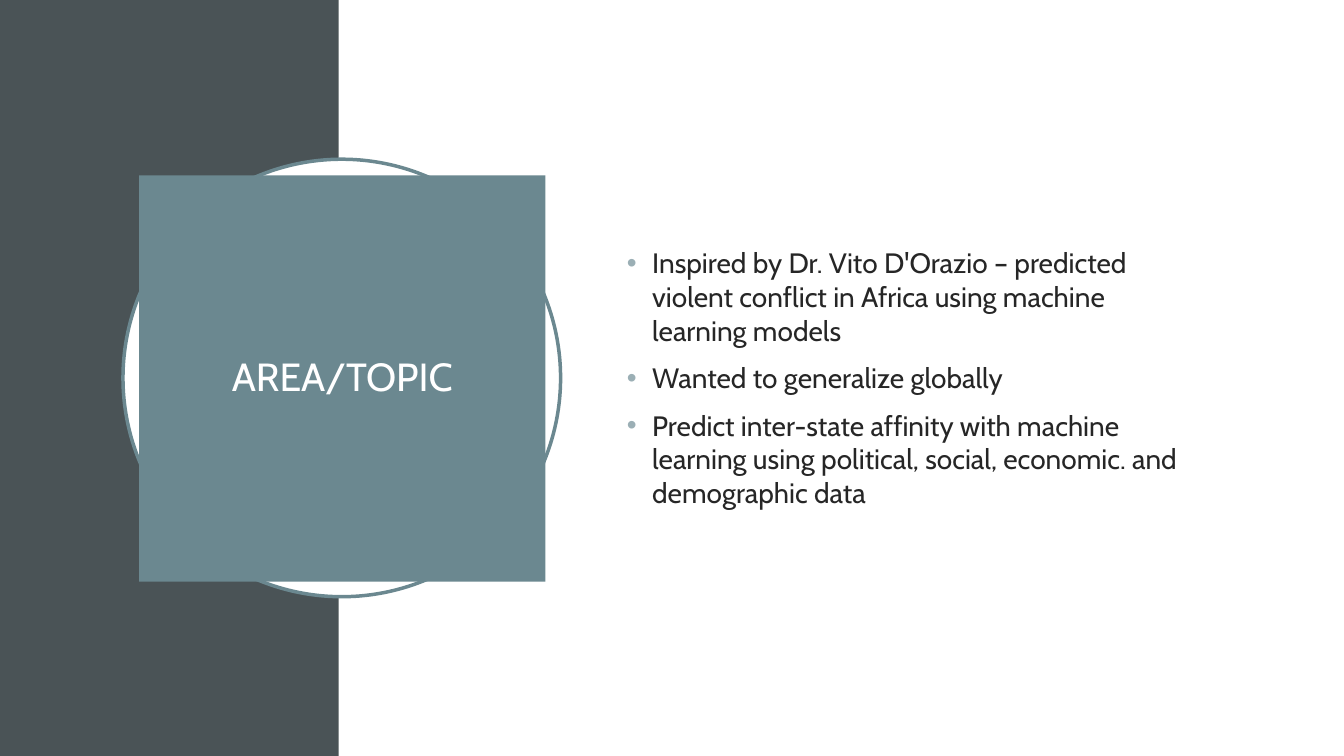
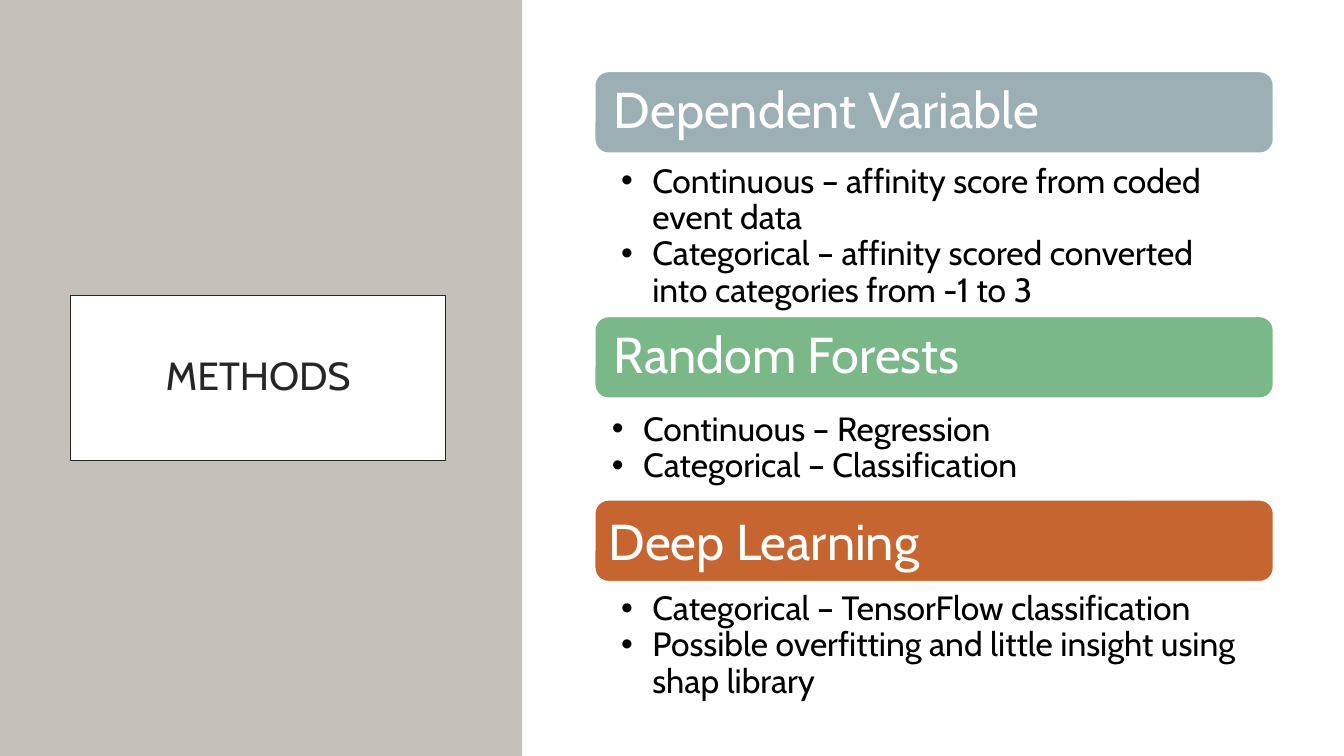
"""Build two slides: the research topic and the methods."""
from lxml import etree
from pptx import Presentation
from pptx.dml.color import RGBColor
from pptx.enum.shapes import MSO_SHAPE
from pptx.enum.text import MSO_ANCHOR, PP_ALIGN
from pptx.oxml.ns import qn
from pptx.util import Inches, Pt

RECTANGLE, ROUNDED, OVAL = MSO_SHAPE.RECTANGLE, MSO_SHAPE.ROUNDED_RECTANGLE, MSO_SHAPE.OVAL
TOP, MIDDLE = MSO_ANCHOR.TOP, MSO_ANCHOR.MIDDLE
LEFT, CENTER = PP_ALIGN.LEFT, PP_ALIGN.CENTER

FONT = "Cabin"
WHITE = RGBColor(0xFF, 0xFF, 0xFF)
BLACK = RGBColor(0x00, 0x00, 0x00)
INK = RGBColor(0x26, 0x26, 0x26)
SLATE = RGBColor(0x4A, 0x53, 0x56)
TEAL = RGBColor(0x6B, 0x88, 0x90)
MIST = RGBColor(0x9B, 0xAF, 0xB5)
STONE = RGBColor(0xC5, 0xC0, 0xB9)
GREEN = RGBColor(0x7A, 0xB8, 0x8A)
ORANGE = RGBColor(0xC7, 0x65, 0x31)

SLIDE_WIDTH, SLIDE_HEIGHT = 13.33, 7.5
BAR_LEFT, BAR_WIDTH, BAR_HEIGHT = 5.9, 6.73, 0.81
BODY_INSETS = (0.1, 0.05, 0.1, 0.05)
LIST_INSETS = (0.21, 0.05, 0.28, 0.05)

TOPIC_TITLE = "AREA/TOPIC"
TOPIC_POINTS = [
    "Inspired by Dr. Vito D'Orazio – predicted violent conflict in Africa using machine learning models",
    "Wanted to generalize globally",
    "Predict inter-state affinity with machine learning using political, social, economic. and demographic data",
]

METHODS_TITLE = "METHODS"
METHODS = [
    {
        "heading": "Dependent Variable", "color": MIST, "top": 0.71, "inset": 0.15, "spacing": 0.9,
        "points": ["Continuous – affinity score from coded event data",
                   "Categorical – affinity scored converted into categories from -1 to 3"],
        "list_at": (5.95, 1.58, 6.73, 1.52),
    },
    {
        "heading": "Random Forests", "color": GREEN, "top": 3.14, "inset": 0.15, "spacing": 0.9,
        "points": ["Continuous – Regression", "Categorical – Classification"],
        "list_at": (5.86, 4.04, 6.73, 0.81),
    },
    {
        "heading": "Deep Learning", "color": ORANGE, "top": 4.96, "inset": 0.1, "spacing": 1.0,
        "points": ["Categorical – TensorFlow classification",
                   "Possible overfitting and little insight using shap library"],
        "list_at": (5.95, 5.82, 6.64, 1.54),
    },
]


def add_panel(page, kind, at, fill, line=None, line_width=1):
    panel = page.shapes.add_shape(kind, *map(Inches, at))
    panel.shadow.inherit = False
    panel.fill.solid()
    panel.fill.fore_color.rgb = fill
    if line is None:
        panel.line.fill.background()
    else:
        panel.line.color.rgb = line
        panel.line.width = Pt(line_width)
    return panel


def set_bullet(para, color, indent):
    properties = para._p.get_or_add_pPr()
    properties.set("marL", str(Inches(indent)))
    properties.set("indent", str(-Inches(indent)))
    bullet_color = etree.SubElement(properties, qn("a:buClr"))
    etree.SubElement(bullet_color, qn("a:srgbClr"), val=str(color))
    etree.SubElement(properties, qn("a:buFont"), typeface="Arial")
    etree.SubElement(properties, qn("a:buChar"), char="•")


def write(box, lines, size, color, insets, anchor=MIDDLE, align=LEFT, spacing=1.0,
          gap=0, bullet=None, indent=0):
    frame = box.text_frame
    frame.word_wrap = True
    frame.vertical_anchor = anchor
    frame.margin_left, frame.margin_top, frame.margin_right, frame.margin_bottom = map(Inches, insets)
    for index, line in enumerate(lines):
        para = frame.add_paragraph() if index else frame.paragraphs[0]
        para.alignment = align
        para.line_spacing = spacing
        para.space_before = Pt(gap if index else 0)
        if bullet is not None:
            set_bullet(para, bullet, indent)
        span = para.add_run()
        span.text = line
        span.font.name = FONT
        span.font.size = Pt(size)
        span.font.color.rgb = color


def add_list(page, at, lines, size, color, insets, **style):
    box = page.shapes.add_textbox(*map(Inches, at))
    write(box, lines, size, color, insets, **style)


def add_page(deck, band_width, band_color):
    page = deck.slides.add_slide(deck.slide_layouts[6])
    add_panel(page, RECTANGLE, (0, 0, band_width, SLIDE_HEIGHT), band_color)
    return page


def add_title(page, title, at, fill, color, line=None):
    box = add_panel(page, RECTANGLE, at, fill, line, 0.75)
    write(box, [title], 28, color, (0.2,) * 4, align=CENTER, spacing=0.9)


def build_topic(deck):
    page = add_page(deck, 3.36, SLATE)
    add_panel(page, OVAL, (1.22, 1.58, 4.34, 4.34), WHITE, TEAL, 2.5)
    add_title(page, TOPIC_TITLE, (1.38, 1.74, 4.03, 4.03), TEAL, WHITE)
    add_list(page, (6.12, 1.53, 5.82, 4.43), TOPIC_POINTS, 20, INK, BODY_INSETS,
             gap=10, bullet=MIST, indent=0.25)


def build_methods(deck):
    page = add_page(deck, 5.18, STONE)
    add_title(page, METHODS_TITLE, (0.7, 2.93, 3.72, 1.64), WHITE, INK, INK)
    for method in METHODS:
        bar = add_panel(page, ROUNDED, (BAR_LEFT, method["top"], BAR_WIDTH, BAR_HEIGHT),
                        method["color"], WHITE)
        write(bar, [method["heading"]], 36, WHITE, (method["inset"],) * 4, spacing=method["spacing"])
        add_list(page, method["list_at"], method["points"], 24, BLACK, LIST_INSETS,
                 anchor=TOP, spacing=0.9, bullet=BLACK, indent=0.31)


def main():
    deck = Presentation()
    deck.slide_width, deck.slide_height = Inches(SLIDE_WIDTH), Inches(SLIDE_HEIGHT)
    build_topic(deck)
    build_methods(deck)
    deck.save("out.pptx")


if __name__ == "__main__":
    main()
